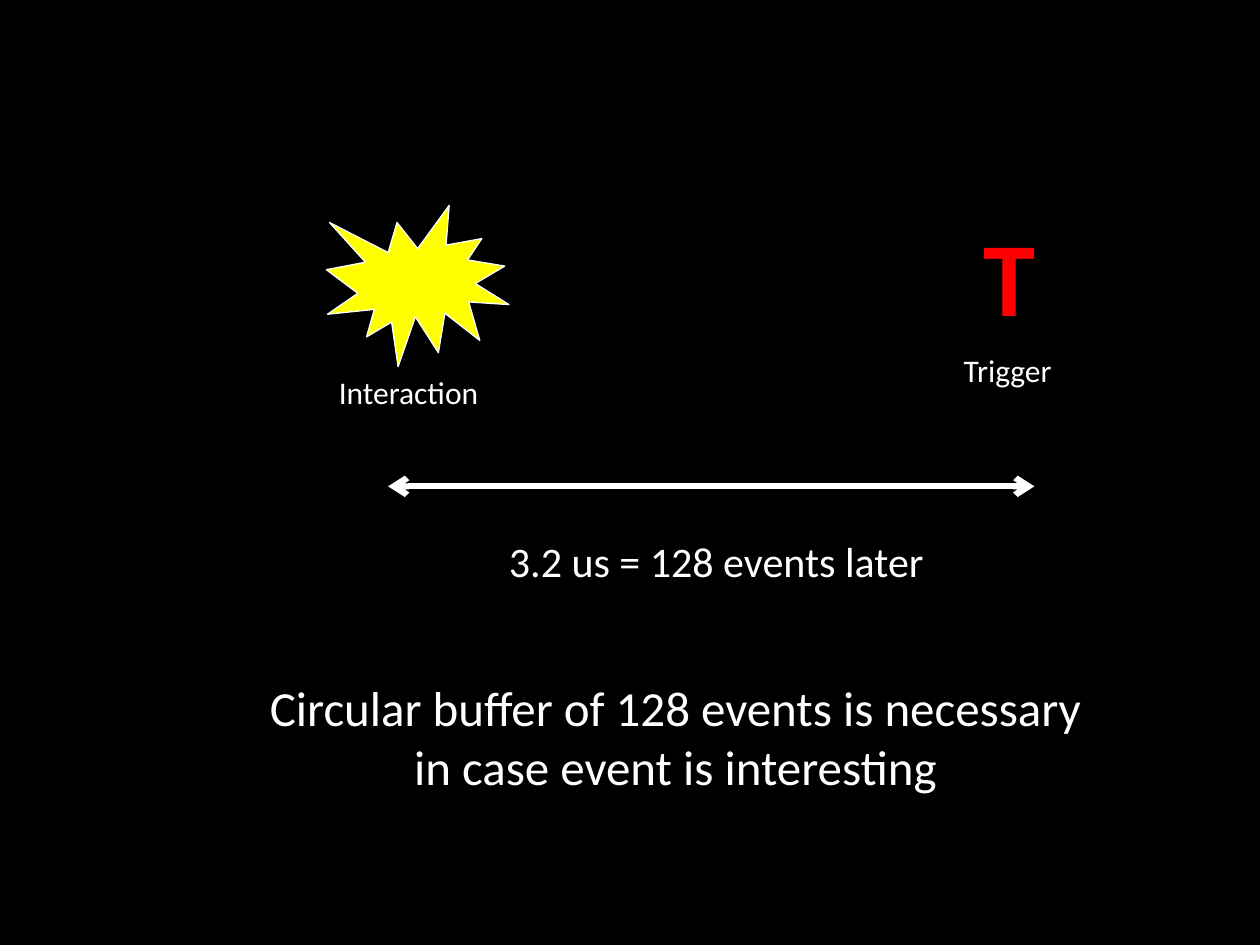
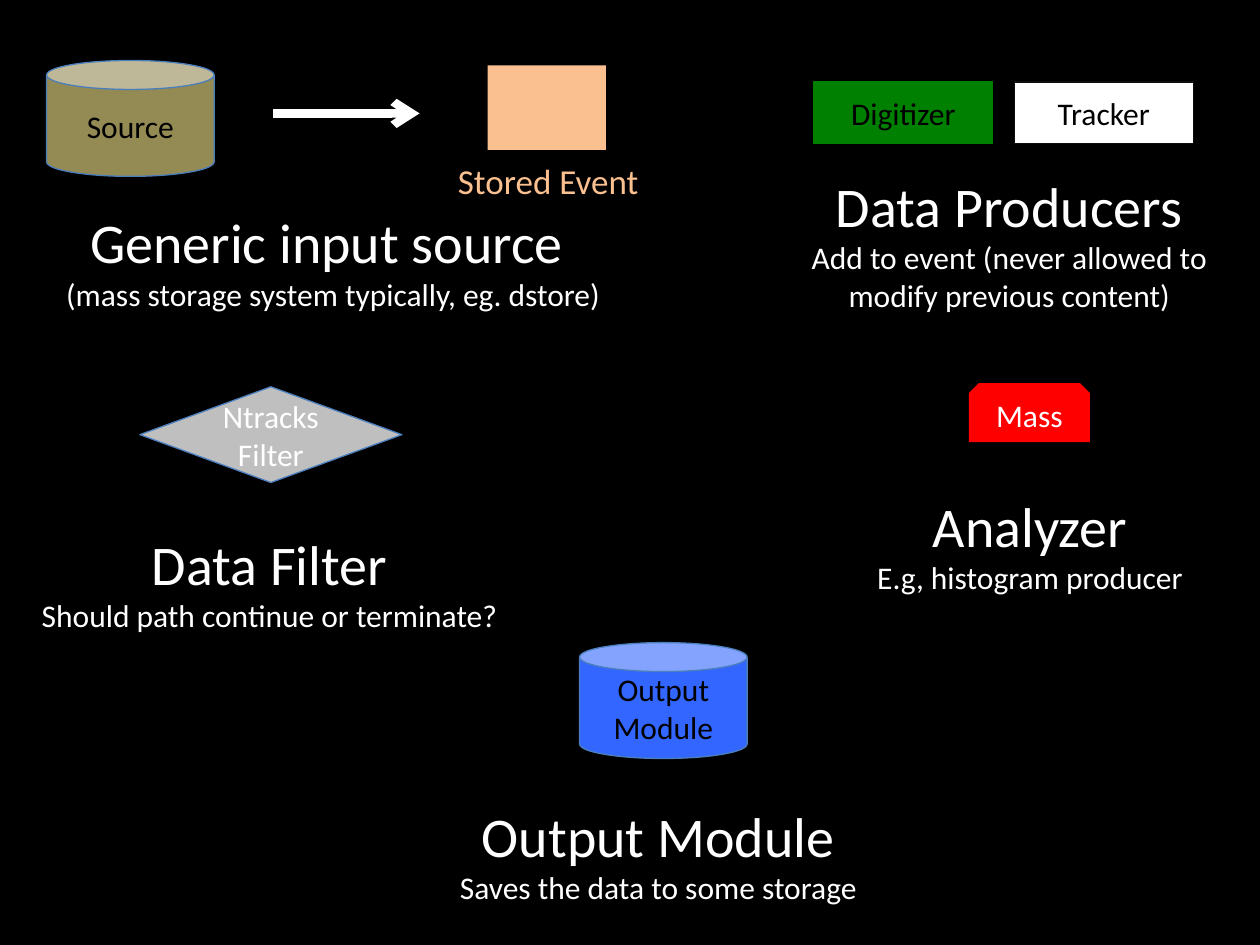
from dataclasses import dataclass

from lxml import etree
from pptx import Presentation
from pptx import util as u
from pptx.dml.color import RGBColor
from pptx.enum import shapes, text
from pptx.oxml import ns

SHAPE = shapes.MSO_SHAPE
ALIGN = text.PP_ALIGN


@dataclass(frozen=True)
class Theme:
    font: str = "Calibri"
    black: str = "000000"
    white: str = "FFFFFF"
    yellow: str = "FFFF00"
    red: str = "FF0000"
    khaki: str = "948A54"
    peach: str = "FAC090"
    green: str = "008000"
    grey: str = "BFBFBF"
    blue: str = "3366FF"
    outline: str = "4B7EBC"
    dark_outline: str = "0D0D0D"
    label: int = 18
    caption: int = 20
    note: int = 24
    statement: int = 28
    heading: int = 32
    symbol: int = 60
    outline_width: float = 0.75


THEME = Theme()


class Deck:
    """Black slides drawn on a grid of 100 columns by 75 rows."""

    COLUMNS, ROWS = 100, 75

    def __init__(self, theme):
        self.theme = theme
        self.presentation = Presentation()
        self.presentation.slide_width = u.Inches(10)
        self.presentation.slide_height = u.Inches(7.5)
        self.slide = None

    def add_slide(self):
        self.slide = self.presentation.slides.add_slide(self.presentation.slide_layouts[6])
        fill = self.slide.background.fill
        fill.solid()
        fill.fore_color.rgb = RGBColor.from_string(self.theme.black)

    def x(self, columns):
        return round(self.presentation.slide_width * columns / self.COLUMNS)

    def y(self, rows):
        return round(self.presentation.slide_height * rows / self.ROWS)

    def place(self, box):
        left, top, width, height = box
        return self.x(left), self.y(top), self.x(width), self.y(height)

    def set_lines(self, frame, lines, sizes, color, align=ALIGN.CENTER, bold=False):
        """Fill a text frame; the last size serves all remaining lines."""
        frame.word_wrap = True
        frame.text = "\n".join(lines)
        for index, paragraph in enumerate(frame.paragraphs):
            paragraph.alignment = align
            for run in paragraph.runs:
                run.font.name = self.theme.font
                run.font.size = u.Pt(sizes[min(index, len(sizes) - 1)])
                run.font.bold = bold
                run.font.color.rgb = RGBColor.from_string(color)

    def text(self, box, lines, sizes, color=THEME.white, **style):
        frame = self.slide.shapes.add_textbox(*self.place(box)).text_frame
        self.set_lines(frame, lines, sizes, color, **style)

    def heading(self, box, title, description):
        self.text(box, [title, description], [self.theme.heading, self.theme.label])

    def shape(self, kind, box, fill, outline=None, lines=(), color=THEME.black):
        shape = self.slide.shapes.add_shape(kind, *self.place(box))
        shape.shadow.inherit = False
        shape.fill.solid()
        shape.fill.fore_color.rgb = RGBColor.from_string(fill)
        if outline:
            shape.line.color.rgb = RGBColor.from_string(outline)
            shape.line.width = u.Pt(self.theme.outline_width)
        else:
            shape.line.fill.background()
        if lines:
            shape.text_frame.vertical_anchor = text.MSO_ANCHOR.MIDDLE
            self.set_lines(shape.text_frame, lines, [self.theme.label], color)

    def arrow(self, start, end, row, width, ends):
        """Horizontal arrow; ends lists headEnd (start) and tailEnd (end)."""
        connector = self.slide.shapes.add_connector(
            shapes.MSO_CONNECTOR.STRAIGHT,
            self.x(start), self.y(row), self.x(end), self.y(row))
        connector.line.color.rgb = RGBColor.from_string(self.theme.white)
        connector.line.width = u.Pt(width)
        properties = connector._element.spPr
        line = properties.find(ns.qn("a:ln"))
        for end_name in ends:
            etree.SubElement(line, ns.qn(f"a:{end_name}"), type="arrow")
        etree.SubElement(properties, ns.qn("a:effectLst"))


def trigger_delay(deck):
    theme = deck.theme
    deck.add_slide()

    # Interaction and trigger
    deck.shape(SHAPE.EXPLOSION1, (25.9, 16.3, 14.5, 12.8), theme.yellow, theme.white)
    deck.text((25.9, 29.1, 14.2, 4), ["Interaction"], [theme.label], align=ALIGN.LEFT)
    deck.text((77.1, 16.3, 5, 11.1), ["T"], [theme.symbol], theme.red,
              align=ALIGN.LEFT, bold=True)
    deck.text((75.5, 27.4, 12.5, 4), ["Trigger"], [theme.label], align=ALIGN.LEFT)

    # Time between them
    deck.arrow(30.8, 82.1, 38.6, 3.5, ["headEnd", "tailEnd"])
    deck.text((38.3, 42, 37.1, 5), ["3.2 us = 128 events later"], [theme.note])
    deck.text((19.2, 53.3, 68.8, 10.4),
              ["Circular buffer of 128 events is necessary in case event is interesting"],
              [theme.statement])


def module_types(deck):
    theme = deck.theme
    can_size = (13.3, 9.2)
    producer_width, producer_pitch = 14.2, 15.9
    deck.add_slide()

    # Input source
    deck.heading((3.3, 16, 46.3, 12.5), "Generic input source ",
                 "(mass storage system typically, eg. dstore)")
    deck.shape(SHAPE.CAN, (3.7, 4.8, *can_size), theme.khaki, theme.outline, ["Source"])
    deck.arrow(21.7, 33.3, 9, 4.75, ["tailEnd"])
    deck.shape(SHAPE.RECTANGLE, (38.7, 5.2, 9.4, 6.7), theme.peach)
    deck.text((34.4, 12.2, 18.2, 4.4), ["Stored Event"], [theme.caption], theme.peach)

    # Data producers
    producers = [("Digitizer", theme.green, theme.green),
                 ("Tracker", theme.white, theme.dark_outline)]
    for index, (name, fill, outline) in enumerate(producers):
        left = 64.6 + index * producer_pitch
        deck.shape(SHAPE.RECTANGLE, (left, 6.5, producer_width, 4.9), fill, outline, [name])
    deck.heading((60.2, 13.1, 39.8, 12.5), "Data Producers",
                 "Add to event (never allowed to modify previous content)")

    # Data filter
    deck.shape(SHAPE.DIAMOND, (11.1, 30.7, 20.8, 7.6), theme.grey, theme.outline,
               ["Ntracks", "Filter"], theme.white)
    deck.heading((0, 41.5, 42.8, 9.4), "Data Filter", "Should path continue or terminate?")

    # Analyzer
    deck.shape(SHAPE.SNIP_2_SAME_RECTANGLE, (76.9, 30.4, 9.6, 4.7), theme.red,
               lines=["Mass"], color=theme.white)
    deck.heading((68.3, 38.5, 26.9, 9.4), "Analyzer", "E.g, histogram producer")

    # Output module
    deck.shape(SHAPE.CAN, (46, 51, *can_size), theme.blue, theme.outline,
               ["Output", "Module"])
    deck.heading((29.3, 63.1, 45.9, 9.4), "Output Module", "Saves the data to some storage")


def main():
    deck = Deck(THEME)
    trigger_delay(deck)
    module_types(deck)
    deck.presentation.save("out.pptx")


if __name__ == "__main__":
    main()
